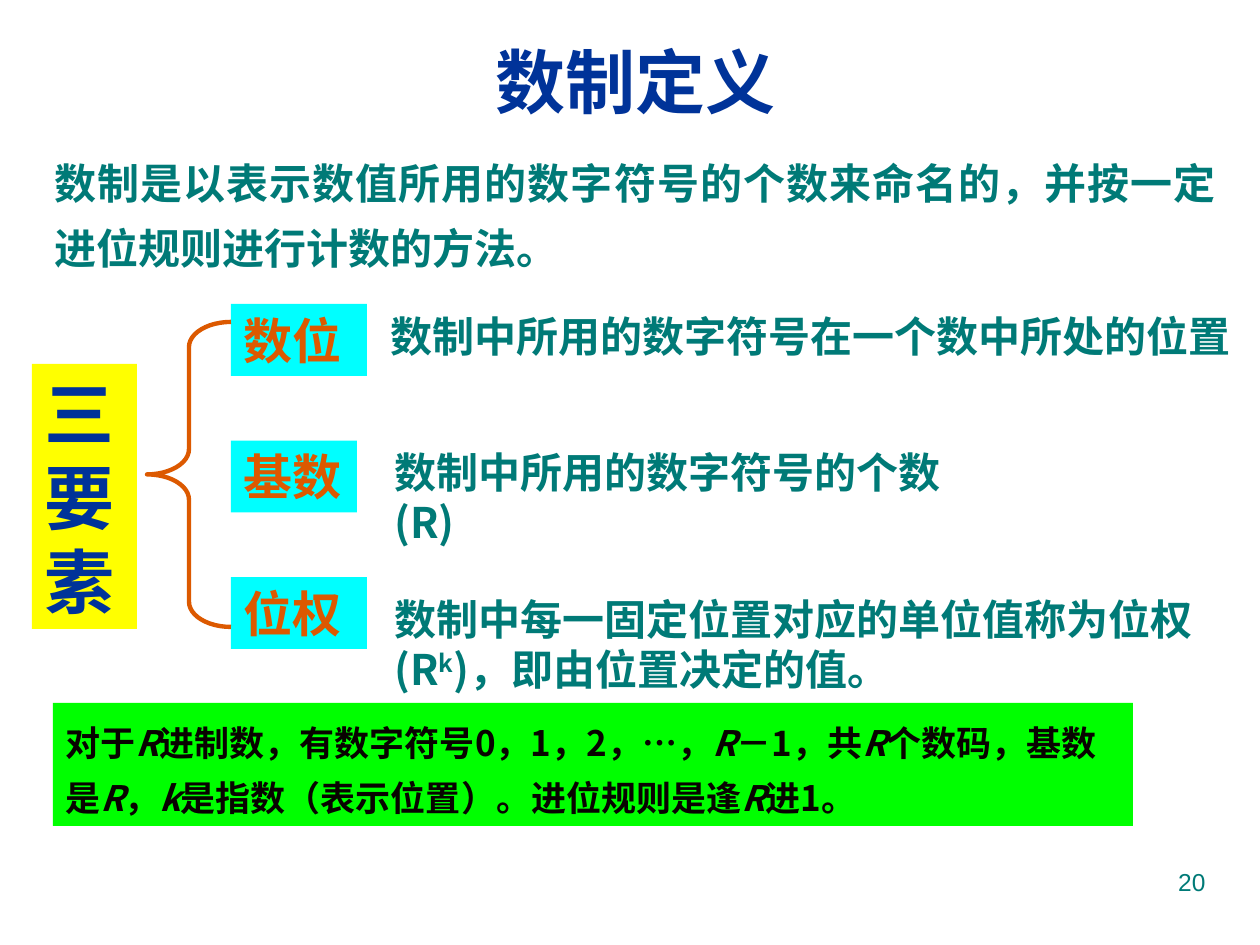
from lxml.etree import SubElement
from pptx import Presentation
from pptx.dml.color import RGBColor
from pptx.enum.shapes import MSO_SHAPE as SHAPE
from pptx.enum.text import MSO_ANCHOR as ANCHOR, MSO_AUTO_SIZE as AUTO, PP_ALIGN as ALIGN
from pptx.oxml.ns import qn
from pptx.util import Emu, Pt

CJK, LATIN = "Noto Sans CJK SC", "Arial"
NAVY, TEAL, ORANGE, INK = "003399", "007A77", "DC5900", "080300"
CYAN, YELLOW, GREEN = "00FFFF", "FFFF00", "00FF00"


def px(n):
    return Emu(round(n * 914400 / 126))


def color(value):
    return RGBColor.from_string(value)


def write(sp, runs, size, ink, font=CJK, bold=True, align=ALIGN.LEFT, spacing=None, wrap=True):
    tf = sp.text_frame
    tf.word_wrap = wrap
    tf.auto_size = AUTO.SHAPE_TO_FIT_TEXT
    tf.vertical_anchor = ANCHOR.TOP
    p = tf.paragraphs[0]
    p.alignment = align
    if spacing:
        p.line_spacing = spacing
    f = p.font
    f.size, f.bold, f.name = Pt(size), bold, font
    f.color.rgb = color(ink)
    SubElement(p._p.pPr.find(qn("a:defRPr")), qn("a:ea"), typeface=CJK)
    for text, style in runs:
        r = p.add_run()
        r.text = text
        if style == "italic":
            r.font.italic = True
        elif style == "super":
            r._r.get_or_add_rPr().set("baseline", "30000")
    return tf


def plain(text):
    return [(text, None)]


def add_text(shapes, box, runs, size, ink, **style):
    sp = shapes.add_textbox(*map(px, box))
    return write(sp, runs, size, ink, **style)


def add_panel(shapes, box, fill, runs, size, ink, **style):
    sp = shapes.add_shape(SHAPE.RECTANGLE, *map(px, box))
    sp.shadow.inherit = False
    sp.fill.solid()
    sp.fill.fore_color.rgb = color(fill)
    sp.line.fill.background()
    return write(sp, runs, size, ink, **style)


def add_brace(shapes, box):
    sp = shapes.add_shape(SHAPE.LEFT_BRACE, *map(px, box))
    sp.shadow.inherit = False
    sp.adjustments[0] = 0.3
    sp.fill.background()
    sp.line.color.rgb = color(ORANGE)
    sp.line.width = Pt(2.5)


def add_heading(shapes, x, y, w):
    add_text(shapes, (x + 441, y, 305, 97), plain("数制定义"), 40, NAVY, wrap=False)
    intro = "数制是以表示数值所用的数字符号的个数来命名的，并按一定进位规则进行计数的方法。"
    add_text(shapes, (x, y + 104, w, 145), plain(intro), 24, TEAL,
             align=ALIGN.JUSTIFY, spacing=1.3)


def add_elements(shapes, x, y):
    group = shapes.add_group_shape().shapes
    for i, (name, w) in enumerate([("数位", 136), ("基数", 126), ("位权", 136)]):
        add_panel(group, (x + 199, y + 136.5 * i, w, 72), CYAN, plain(name), 28, ORANGE, font=LATIN)
    add_brace(group, (x + 115, y + 18, 84, 305))
    add_panel(group, (x, y + 60, 105, 265), YELLOW, plain("三要素"), 40, NAVY)


def add_meanings(shapes, x, y):
    add_text(shapes, (x, y, 869, 63), plain("数制中所用的数字符号在一个数中所处的位置"),
             24, TEAL, wrap=False)
    tf = add_text(shapes, (x + 4, y + 136, 639, 64), plain("数制中所用的数字符号的个数(R)"), 24, TEAL)
    tf.margin_right = px(50)
    weight = [("数制中每一固定位置对应的单位值称为位权(R", None), ("k", "super"),
              (")，即由位置决定的值。", None)]
    add_text(shapes, (x + 4, y + 283, 847, 115), weight, 24, TEAL)


def add_rule(shapes, box):
    parts = ["对于", "R", "进制数，有数字符号0，1，2，…，", "R", "－1，共", "R",
             "个数码，基数是", "R", "，", "k", "是指数（表示位置）。进位规则是逢", "R", "进1。"]
    runs = [(text, "italic" if i % 2 else None) for i, text in enumerate(parts)]
    add_panel(shapes, box, GREEN, runs, 20, INK, spacing=1.3)


def add_page_number(shapes, box):
    tf = add_text(shapes, box, plain("20"), 14, TEAL, font=LATIN, bold=False, align=ALIGN.RIGHT)
    tf.auto_size = AUTO.NONE


def main():
    prs = Presentation()
    prs.slide_width, prs.slide_height = px(1260), px(945)
    s = prs.slides.add_slide(prs.slide_layouts[6])
    add_heading(s.shapes, 42, 32, 1187)
    add_elements(s.shapes, 32, 304)
    add_meanings(s.shapes, 378, 304)
    add_rule(s.shapes, (53, 703, 1080, 123))
    add_page_number(s.shapes, (903, 861, 315, 66))
    prs.save("out.pptx")


if __name__ == "__main__":
    main()
